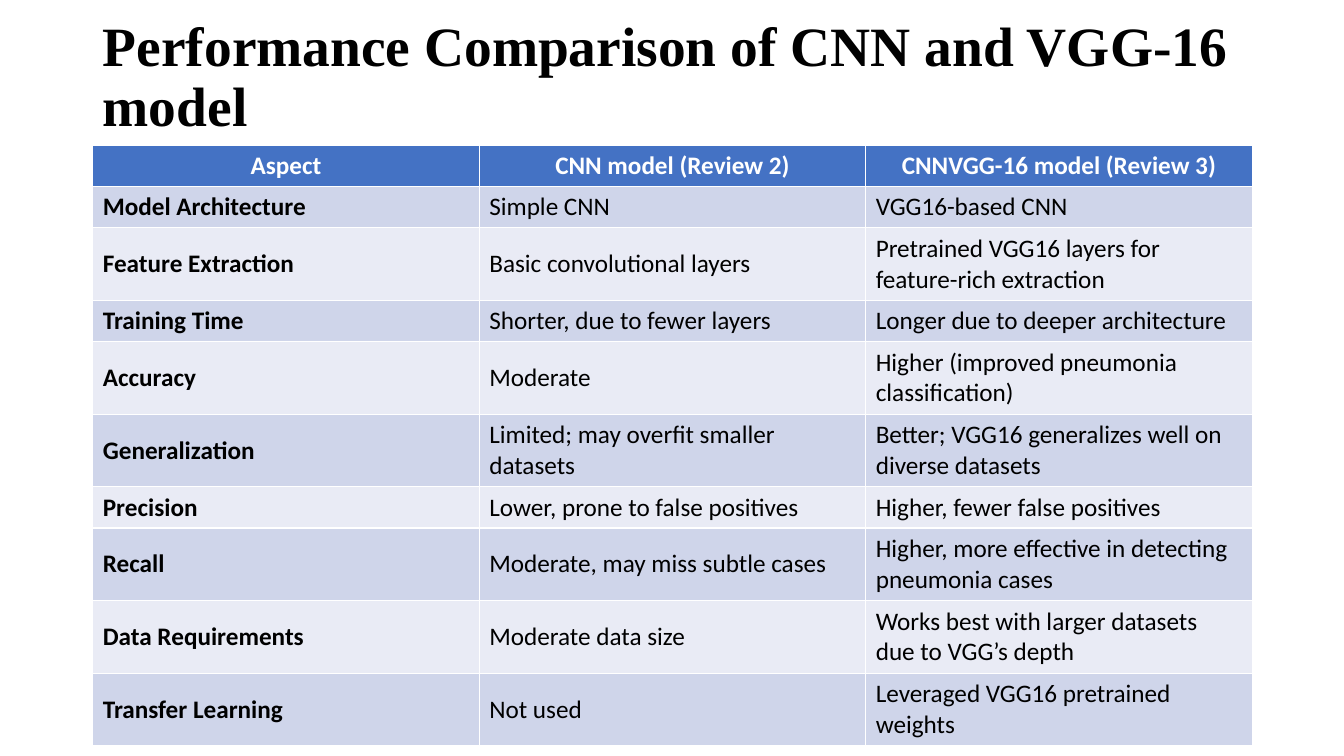
from pptx import Presentation, util as u
from pptx.dml.color import RGBColor
from pptx.enum import text

WIDE, HIGH = u.Inches(13.33), u.Inches(7.5)
LEFT, SPAN = u.Inches(0.92), u.Inches(11.5)
LINE, PAD = 0.31, 0.1
BLACK = RGBColor(0x00, 0x00, 0x00)
WHITE = RGBColor(0xFF, 0xFF, 0xFF)
BLUE = RGBColor(0x44, 0x72, 0xC4)
BANDS = [RGBColor(0xE9, 0xEB, 0xF5), RGBColor(0xCF, 0xD5, 0xEA)]

HEAD = "Performance Comparison of CNN and VGG-16 model"
ROWS = [
    (1, "Aspect", "CNN model (Review 2)", "CNNVGG-16 model (Review 3)"),
    (1, "Model Architecture", "Simple CNN", "VGG16-based CNN"),
    (2, "Feature Extraction", "Basic convolutional layers",
     "Pretrained VGG16 layers for feature-rich extraction"),
    (1, "Training Time", "Shorter, due to fewer layers",
     "Longer due to deeper architecture"),
    (2, "Accuracy", "Moderate", "Higher (improved pneumonia classification)"),
    (2, "Generalization", "Limited; may overfit smaller datasets",
     "Better; VGG16 generalizes well on diverse datasets"),
    (1, "Precision", "Lower, prone to false positives",
     "Higher, fewer false positives"),
    (2, "Recall", "Moderate, may miss subtle cases",
     "Higher, more effective in detecting pneumonia cases"),
    (2, "Data Requirements", "Moderate data size",
     "Works best with larger datasets due to VGG’s depth"),
    (2, "Transfer Learning", "Not used", "Leveraged VGG16 pretrained weights"),
]


def style(para, face, size, color, bold, align):
    para.alignment = align
    for run in para.runs:
        font = run.font
        font.name, font.size, font.bold = face, u.Pt(size), bold
        font.color.rgb = color


def add_title(slide):
    title = slide.shapes.title
    title.left, title.top = LEFT, u.Inches(0.4)
    title.width, title.height = SPAN, u.Inches(0.76)
    frame = title.text_frame
    frame.text = HEAD
    frame.word_wrap = True
    frame.auto_size = text.MSO_AUTO_SIZE.NONE
    frame.vertical_anchor = text.MSO_ANCHOR.MIDDLE
    para = frame.paragraphs[0]
    para.line_spacing = 0.9
    style(para, "Times New Roman", 39.6, BLACK, True, text.PP_ALIGN.LEFT)


def fill_cell(cell, words, row, col):
    top = row == 0
    cell.text_frame.text = words
    cell.fill.solid()
    cell.fill.fore_color.rgb = BLUE if top else BANDS[row % 2]
    cell.vertical_anchor = text.MSO_ANCHOR.TOP if top else text.MSO_ANCHOR.MIDDLE
    style(cell.text_frame.paragraphs[0], "Calibri", 18,
          WHITE if top else BLACK, top or col == 0,
          text.PP_ALIGN.CENTER if top else text.PP_ALIGN.LEFT)


def add_grid(slide):
    tall = [u.Inches(lines * LINE + PAD) for lines, *_ in ROWS]
    grid = slide.shapes.add_table(
        len(ROWS), 3, LEFT, u.Inches(1.44), SPAN, sum(tall)).table
    for row, (_, *cells) in enumerate(ROWS):
        grid.rows[row].height = tall[row]
        for col, words in enumerate(cells):
            fill_cell(grid.cell(row, col), words, row, col)


def main():
    deck = Presentation()
    deck.slide_width, deck.slide_height = WIDE, HIGH
    slide = deck.slides.add_slide(deck.slide_layouts[5])
    add_title(slide)
    add_grid(slide)
    deck.save("out.pptx")


if __name__ == "__main__":
    main()
